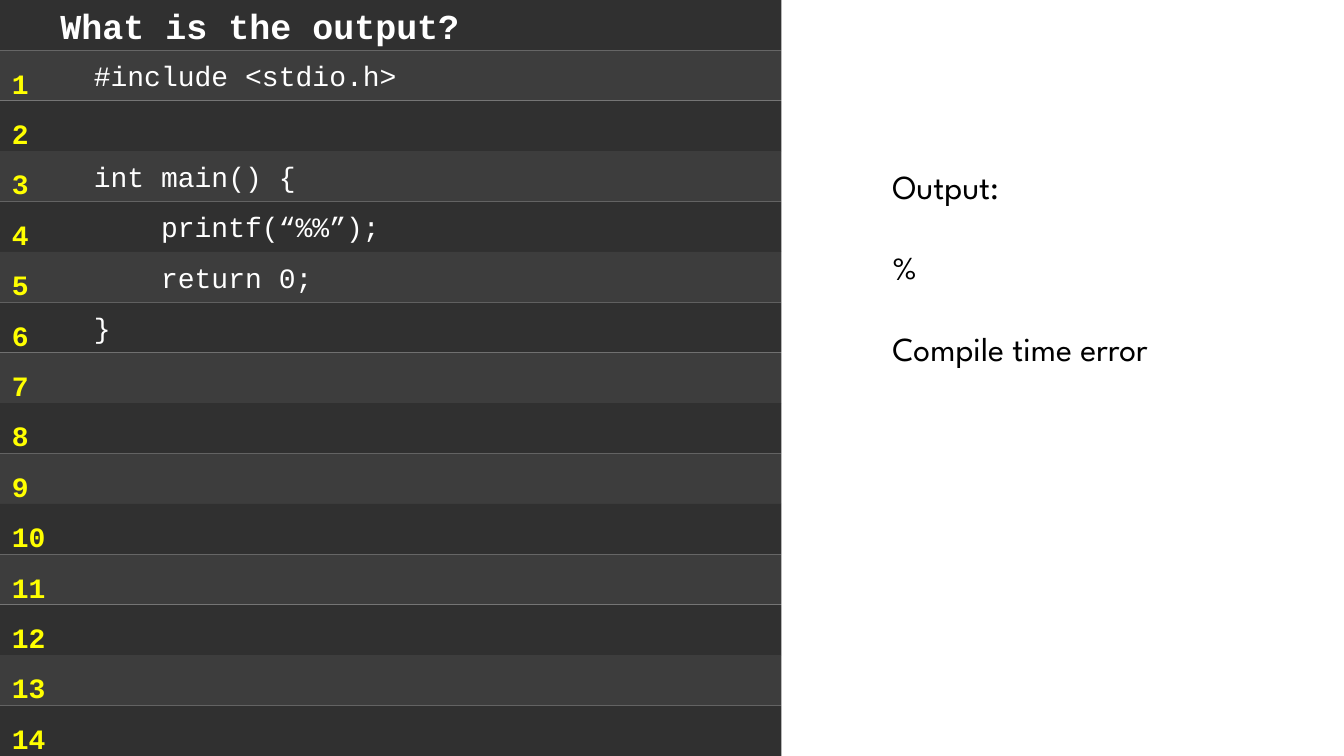
from pptx import Presentation
from pptx.dml.color import RGBColor
from pptx.enum.shapes import MSO_SHAPE as Shape
from pptx.enum.text import MSO_ANCHOR as Anchor, MSO_AUTO_SIZE as AutoSize, PP_ALIGN as Align
from pptx.oxml import parse_xml
from pptx.oxml.ns import nsdecls
from pptx.util import Inches, Pt

WHITE = RGBColor(0xFF, 0xFF, 0xFF)
BLACK = RGBColor(0, 0, 0)
YELLOW = RGBColor(0xFF, 0xFF, 0)
DARK = RGBColor(0x30, 0x30, 0x30)
GREY = RGBColor(0x3D, 0x3D, 0x3D)

TITLE_FONT = {"name": "Courier New", "size": Pt(25), "bold": True}
CODE_FONT = {"name": "Courier New", "size": Pt(20), "bold": False}
NUMBER_FONT = {"name": "Courier New", "size": Pt(20), "bold": True}
OUTPUT_FONT = {"name": "League Spartan", "size": Pt(24), "bold": False}

ROW_HEIGHT = 0.5
LINE_COUNT = 14
CODE = {
    1: "#include <stdio.h>",
    3: "int main() {",
    4: "    printf(“%%”);",
    5: "    return 0;",
    6: "}",
}
OUTPUT = ["Output:", "%", "Compile time error"]


def format_paragraph(paragraph, font_format, color):
    paragraph.alignment = Align.LEFT
    for name, value in font_format.items():
        setattr(paragraph.font, name, value)
    paragraph.font.color.rgb = color


def place(shape, left, top, width, height):
    shape.left, shape.top = Inches(left), Inches(top)
    shape.width, shape.height = Inches(width), Inches(height)


def format_frame(frame, anchor, margin_left=0.1):
    frame.auto_size = AutoSize.NONE
    frame.word_wrap = True
    frame.vertical_anchor = anchor
    frame.margin_left = Inches(margin_left)


def add_title_bar(slide, left, top, width):
    title = slide.shapes.title
    place(title, left, top, width, ROW_HEIGHT)
    title.fill.solid()
    title.fill.fore_color.rgb = DARK
    format_frame(title.text_frame, Anchor.MIDDLE, 0.6)
    title.text_frame.text = "What is the output?"
    format_paragraph(title.text_frame.paragraphs[0], TITLE_FONT, WHITE)


def add_code_rows(slide, left, top, width):
    for number in range(1, LINE_COUNT + 1):
        row = slide.shapes.add_shape(
            Shape.RECTANGLE, Inches(left), Inches(top + (number - 1) * ROW_HEIGHT),
            Inches(width), Inches(ROW_HEIGHT))
        row.shadow.inherit = False
        row.fill.solid()
        row.fill.fore_color.rgb = GREY if number % 2 else DARK
        row.line.fill.background()
        if number in CODE:
            format_frame(row.text_frame, Anchor.MIDDLE, 0.93)
            row.text_frame.text = CODE[number]
            format_paragraph(row.text_frame.paragraphs[0], CODE_FONT, WHITE)


def add_line_numbers(slide, left, top):
    box = slide.shapes.add_textbox(
        Inches(left), Inches(top), Inches(0.56), Inches(7.13))
    frame = box.text_frame
    format_frame(frame, Anchor.TOP)
    frame.text = "\n".join(str(number) for number in range(1, LINE_COUNT + 1))
    for paragraph in frame.paragraphs:
        paragraph.line_spacing = Inches(ROW_HEIGHT)
        format_paragraph(paragraph, NUMBER_FONT, YELLOW)


def add_output(slide, left, top, width, height):
    body = slide.placeholders[1]
    place(body, left, top, width, height)
    frame = body.text_frame
    format_frame(frame, Anchor.TOP)
    frame.text = "\n".join(OUTPUT)
    for index, paragraph in enumerate(frame.paragraphs):
        properties = paragraph._p.get_or_add_pPr()
        properties.set("marL", "0")
        properties.set("indent", "0")
        properties.append(parse_xml(f"<a:buNone {nsdecls('a')}/>"))
        paragraph.space_before = Pt(29 if index else 0)
        format_paragraph(paragraph, OUTPUT_FONT, BLACK)


def main():
    presentation = Presentation()
    presentation.slide_width = Inches(13.33)
    presentation.slide_height = Inches(7.5)
    slide = presentation.slides.add_slide(presentation.slide_layouts[1])
    add_title_bar(slide, 0, 0, 7.75)
    add_code_rows(slide, 0, ROW_HEIGHT, 7.75)
    add_line_numbers(slide, 0.02, 0.44)
    add_output(slide, 8.75, 1.6, 2.94, 2.52)
    presentation.save("out.pptx")


if __name__ == "__main__":
    main()
